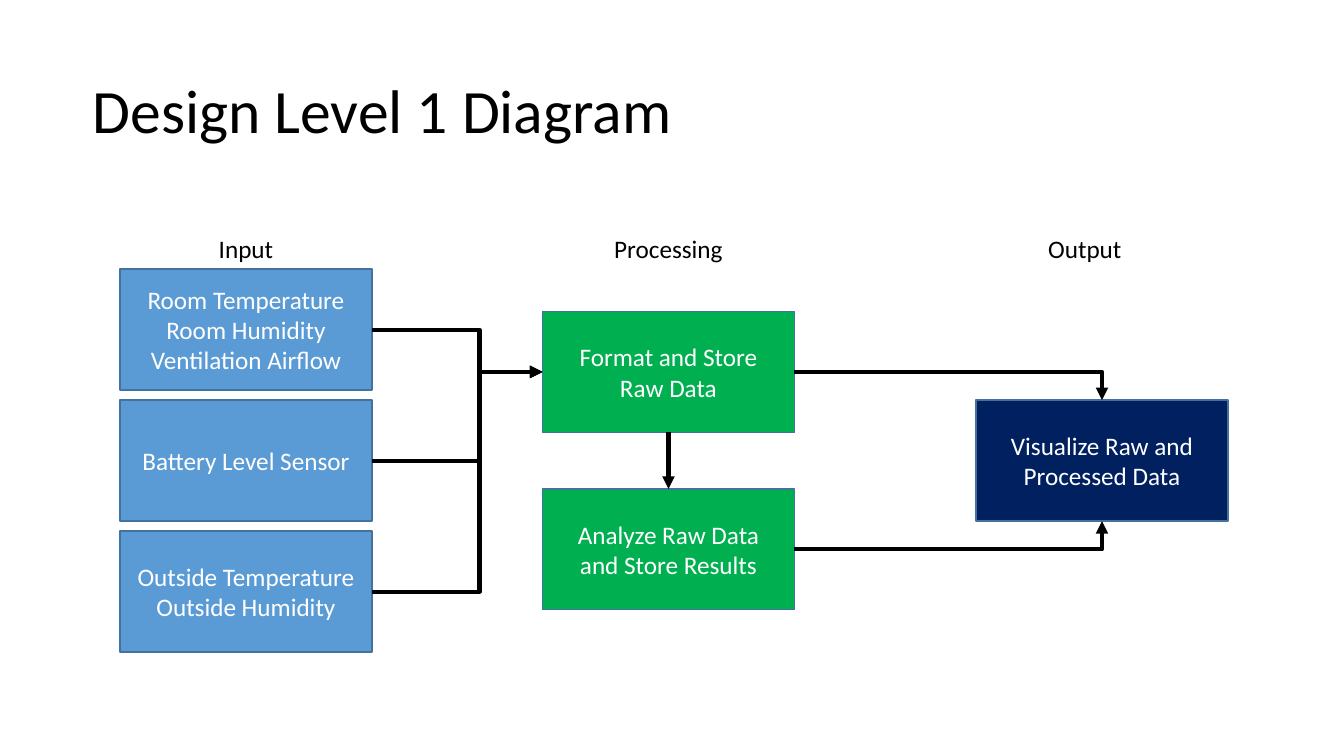
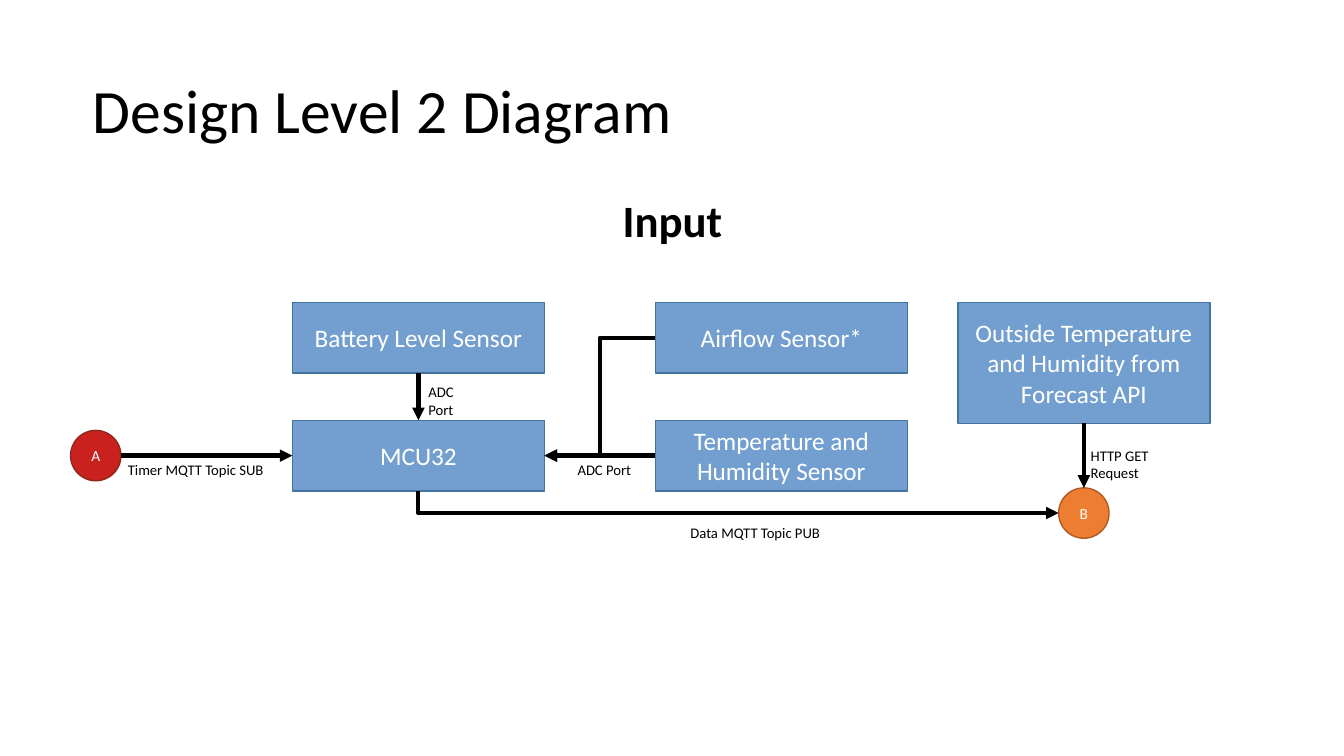
from dataclasses import dataclass

from lxml.etree import SubElement
from pptx import Presentation
from pptx.dml.color import RGBColor
from pptx.enum.shapes import MSO_CONNECTOR, MSO_SHAPE
from pptx.enum.text import MSO_ANCHOR, PP_ALIGN
from pptx.oxml.ns import qn
from pptx.util import Inches, Pt


@dataclass(frozen=True)
class Theme:
    font: str = "Calibri"
    black: str = "000000"
    white: str = "FFFFFF"
    blue: str = "5B9BD5"
    soft: str = "729FCF"
    green: str = "00B050"
    navy: str = "002060"
    edge: str = "43729D"
    red: str = "C9211E"
    maroon: str = "8D281E"
    orange: str = "ED7D31"
    brown: str = "AF5C24"
    title: float = 44
    section: float = 32
    body: float = 18
    node: float = 11
    label: float = 10.5
    border: float = 1
    arrow: float = 3


THEME = Theme()
TOP, LEFT, BOTTOM, RIGHT = range(4)
WIDE, TALL, SHORT, DOT = 2.5, 1.2, 0.7, 0.5


def color(code):
    return RGBColor.from_string(code)


def write(frame, text, size, ink, align=PP_ALIGN.CENTER, bold=False):
    frame.word_wrap = True
    frame.text = text
    for para in frame.paragraphs:
        para.alignment = align
        font = para.font
        font.name, font.size, font.bold = THEME.font, Pt(size), bold
        font.color.rgb = color(ink)


def add_text(slide, x, y, w, h, text, size, **style):
    box = slide.shapes.add_textbox(Inches(x), Inches(y), Inches(w), Inches(h))
    write(box.text_frame, text, size, THEME.black, **style)
    return box.text_frame


def add_title(slide, text):
    frame = add_text(slide, 0.92, 0.4, 11.5, 1.45, text, THEME.title,
                     align=PP_ALIGN.LEFT)
    frame.margin_left = frame.margin_right = 0
    frame.margin_top = frame.margin_bottom = 0
    frame.vertical_anchor = MSO_ANCHOR.MIDDLE
    frame.paragraphs[0].line_spacing = 0.9


def add_head(slide, mid, y, text, size=THEME.body, bold=False):
    """Centre a heading on the x position mid."""
    add_text(slide, mid - WIDE / 2, y, WIDE, 0.4, text, size, bold=bold)


def add_label(slide, x, y, w, text):
    add_text(slide, x, y, w, 0.27, text, THEME.label, align=PP_ALIGN.LEFT)


def add_shape(slide, kind, x, y, w, h, text, size, fill, edge):
    shape = slide.shapes.add_shape(kind, Inches(x), Inches(y), Inches(w), Inches(h))
    shape.shadow.inherit = False
    shape.fill.solid()
    shape.fill.fore_color.rgb = color(fill)
    shape.line.color.rgb = color(edge)
    shape.line.width = Pt(THEME.border)
    shape.text_frame.vertical_anchor = MSO_ANCHOR.MIDDLE
    write(shape.text_frame, text, size, THEME.white)
    return shape


def add_box(slide, x, y, text, fill, h=TALL):
    return add_shape(slide, MSO_SHAPE.FLOWCHART_PROCESS, x, y, WIDE, h, text,
                     THEME.body, fill, THEME.edge)


def add_node(slide, x, y, text, fill, edge):
    return add_shape(slide, MSO_SHAPE.OVAL, x, y, DOT, DOT, text,
                     THEME.node, fill, edge)


def site(shape, side):
    """Return the middle point of one side of a shape."""
    dx, dy = ((1, 0), (0, 1), (1, 2), (2, 1))[side]
    return shape.left + shape.width * dx // 2, shape.top + shape.height * dy // 2


def add_arrow(slide, start, end, bend=None, turn=None, tip="tailEnd"):
    """Join two (shape, side) pairs: straight, with one corner, or bent at a share."""
    kind = MSO_CONNECTOR.STRAIGHT if bend is None and not turn else MSO_CONNECTOR.ELBOW
    line = slide.shapes.add_connector(kind, *site(*start), *site(*end))
    for (shape, side), glue in ((start, line.begin_connect), (end, line.end_connect)):
        if shape.auto_shape_type == MSO_SHAPE.FLOWCHART_PROCESS:
            glue(shape, side)
    line.line.color.rgb = color(THEME.black)
    line.line.width = Pt(THEME.arrow)
    props = line._element.spPr
    SubElement(props.find(qn("a:ln")), qn("a:" + tip), type="triangle")
    SubElement(props, qn("a:effectLst"))
    geom = props.find(qn("a:prstGeom"))
    if turn:
        geom.set("prst", "bentConnector2")
    elif bend is not None:
        guides = geom.find(qn("a:avLst"))
        if guides is None:
            guides = SubElement(geom, qn("a:avLst"))
        SubElement(guides, qn("a:gd"), name="adj1", fmla=f"val {round(bend * 100000)}")


def add_slide(deck, title):
    slide = deck.slides.add_slide(deck.slide_layouts[6])
    add_title(slide, title)
    return slide


def draw_flow(deck):
    slide = add_slide(deck, "Design Level 1 Diagram")
    for mid, text in ((2.44, "Input"), (6.63, "Processing"), (10.76, "Output")):
        add_head(slide, mid, 2.27, text)
    inputs = ("Room Temperature\nRoom Humidity\nVentilation Airflow",
              "Battery Level Sensor",
              "Outside Temperature\nOutside Humidity")
    feeds = [add_box(slide, 1.19, 2.67 + 1.3 * row, text, THEME.blue)
             for row, text in enumerate(inputs)]
    store = add_box(slide, 5.38, 3.09, "Format and Store\nRaw Data", THEME.green)
    study = add_box(slide, 5.38, 4.85, "Analyze Raw Data\nand Store Results", THEME.green)
    view = add_box(slide, 9.68, 3.97, "Visualize Raw and Processed Data", THEME.navy)
    for feed in feeds:
        add_arrow(slide, (feed, RIGHT), (store, LEFT), bend=0.63)
    add_arrow(slide, (store, BOTTOM), (study, TOP))
    add_arrow(slide, (store, RIGHT), (view, TOP), turn=True)
    add_arrow(slide, (study, RIGHT), (view, BOTTOM), turn=True)


def draw_input(deck):
    slide = add_slide(deck, "Design Level 2 Diagram")
    add_head(slide, 6.67, 1.86, "Input", THEME.section, bold=True)
    high, low = 3, 4.17
    power, chip, air, climate = [
        add_box(slide, x, y, text, THEME.soft, SHORT) for x, y, text in (
            (2.9, high, "Battery Level Sensor"),
            (2.9, low, "MCU32"),
            (6.5, high, "Airflow Sensor*"),
            (6.5, low, "Temperature and Humidity Sensor"))]
    outside = add_box(slide, 9.5, high,
                      "Outside Temperature\nand Humidity from Forecast API", THEME.soft)
    timer = add_node(slide, 0.7, 4.27, "A", THEME.red, THEME.maroon)
    data = add_node(slide, 10.5, 4.84, "B", THEME.orange, THEME.brown)
    add_arrow(slide, (power, BOTTOM), (chip, TOP))
    add_arrow(slide, (timer, RIGHT), (chip, LEFT))
    add_arrow(slide, (climate, LEFT), (chip, RIGHT))
    add_arrow(slide, (air, LEFT), (chip, RIGHT), bend=0.5)
    add_arrow(slide, (outside, BOTTOM), (data, TOP))
    add_arrow(slide, (data, LEFT), (chip, BOTTOM), turn=True, tip="headEnd")
    for x, y, w, text in ((4.15, 3.75, 0.65, "ADC Port"),
                          (5.63, 4.52, 0.85, "ADC Port"),
                          (6.75, 5.15, 1.7, "Data MQTT Topic PUB"),
                          (10.72, 4.38, 1.1, "HTTP GET Request"),
                          (1.17, 4.52, 1.7, "Timer MQTT Topic SUB")):
        add_label(slide, x, y, w, text)


def main():
    deck = Presentation()
    deck.slide_width, deck.slide_height = Inches(13.33), Inches(7.5)
    draw_flow(deck)
    draw_input(deck)
    deck.save("out.pptx")


if __name__ == "__main__":
    main()
